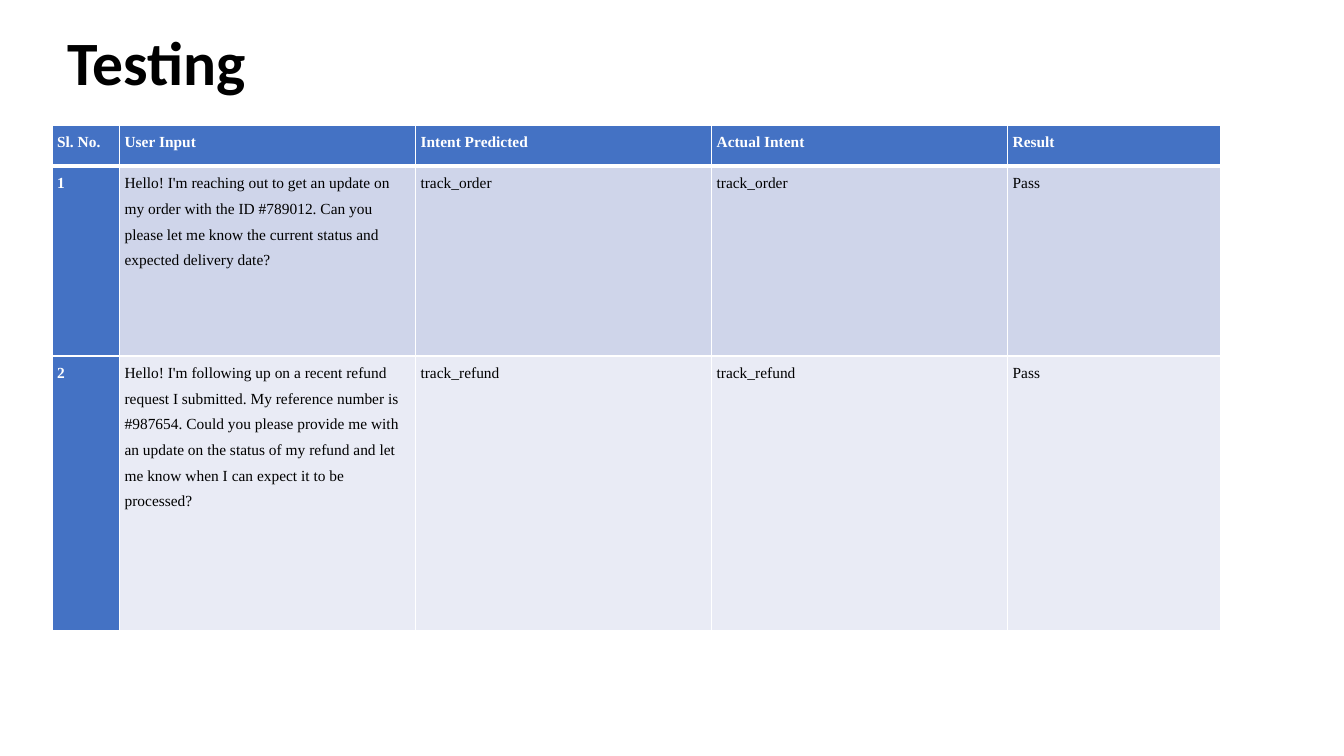
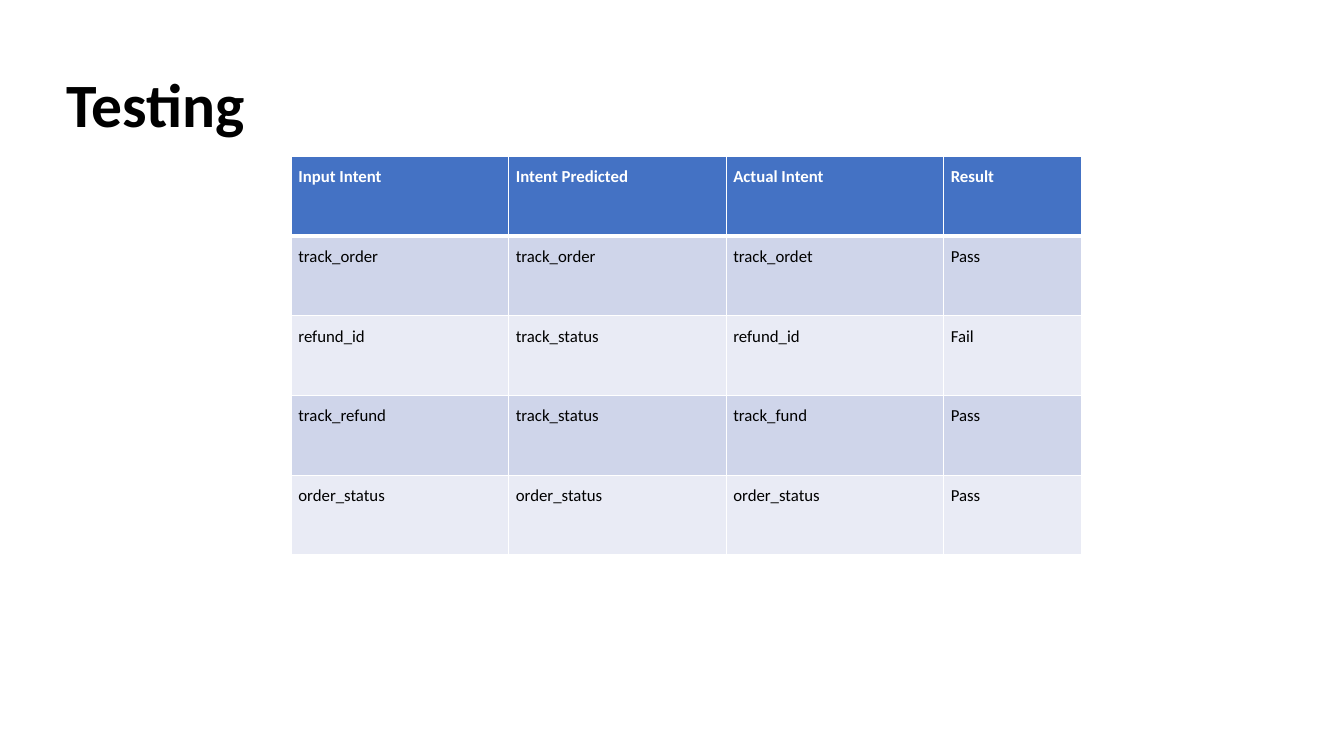
"""Builds two slides with tables of intent test results."""
from lxml.etree import SubElement
from pptx import Presentation
from pptx.dml.color import RGBColor
from pptx.enum.text import MSO_ANCHOR as Anchor, PP_ALIGN as Align
from pptx.oxml.ns import qn
from pptx.util import Cm, Pt

BLUE = RGBColor(0x44, 0x72, 0xC4)
DARK = RGBColor(0xCF, 0xD5, 0xEA)
LIGHT = RGBColor(0xE9, 0xEB, 0xF5)
WHITE = RGBColor(0xFF, 0xFF, 0xFF)
BLACK = RGBColor(0x00, 0x00, 0x00)

PAGES = [
    {
        "title": (1.45, -0.18), "table": (1.32, 3.15),
        "cols": [1.7, 7.46, 7.46, 7.46, 5.36], "rows": [1.04, 4.78, 6.93],
        "inset": 0.12, "font": "Times New Roman", "size": 11, "lead": True,
        "data": [
            ("Sl. No.", "User Input", "Intent Predicted", "Actual Intent", "Result"),
            ("1", "Hello! I'm reaching out to get an update on my order with "
             "the ID #789012. Can you please let me know the current status "
             "and expected delivery date?", "track_order", "track_order", "Pass"),
            ("2", "Hello! I'm following up on a recent refund request I "
             "submitted. My reference number is #987654. Could you please "
             "provide me with an update on the status of my refund and let me "
             "know when I can expect it to be processed?",
             "track_refund", "track_refund", "Pass"),
        ],
    },
    {
        "title": (1.42, 0.86), "table": (7.34, 3.94),
        "cols": [5.48, 5.48, 5.48, 3.48], "rows": [2.01] * 5,
        "inset": 0.18, "font": "Calibri", "size": 12, "lead": False,
        "data": [
            ("Input Intent", "Intent Predicted", "Actual Intent", "Result"),
            ("track_order", "track_order", "track_ordet", "Pass"),
            ("refund_id", "track_status", "refund_id", "Fail"),
            ("track_refund", "track_status", "track_fund", "Pass"),
            ("order_status", "order_status", "order_status", "Pass"),
        ],
    },
]


def style(para, space, **form):
    para.alignment = Align.LEFT
    para.line_spacing = space
    color = form.pop("color")
    for key, val in form.items():
        setattr(para.font, key, val)
    para.font.color.rgb = color


def edge(cell, row):
    props = cell._tc.get_or_add_tcPr()
    for side in "LRTB":
        thick = (side, row) in (("B", 0), ("T", 1))
        line = SubElement(props, qn(f"a:ln{side}"), w=str(Pt(3 if thick else 1)))
        fill = SubElement(line, qn("a:solidFill"))
        SubElement(fill, qn("a:srgbClr"), val=str(WHITE))


deck = Presentation()
deck.slide_width, deck.slide_height = Cm(33.87), Cm(19.05)

for page in PAGES:
    slide = deck.slides.add_slide(deck.slide_layouts[5])
    title = slide.shapes.title
    left, top = page["title"]
    place = {"left": left, "top": top, "width": 29.21, "height": 3.68}
    for key, val in place.items():
        setattr(title, key, Cm(val))
    title.text_frame.text = "Testing"
    title.text_frame.vertical_anchor = Anchor.MIDDLE
    style(title.text_frame.paragraphs[0], 0.9,
          name="Calibri", size=Pt(44), bold=True, color=BLACK)

    cols, rows = page["cols"], page["rows"]
    left, top = page["table"]
    table = slide.shapes.add_table(len(rows), len(cols), Cm(left), Cm(top),
                                   Cm(sum(cols)), Cm(sum(rows))).table
    table.first_col = page["lead"]
    for col, width in zip(table.columns, cols):
        col.width = Cm(width)
    for row, height in zip(table.rows, rows):
        row.height = Cm(height)

    pad = Cm(page["inset"])
    form = {"margin_left": pad, "margin_right": pad,
            "margin_top": 0, "margin_bottom": 0}
    for r, texts in enumerate(page["data"]):
        for c, text in enumerate(texts):
            cell = table.cell(r, c)
            head = r == 0 or (page["lead"] and c == 0)
            for key, val in form.items():
                setattr(cell, key, val)
            edge(cell, r)
            cell.fill.solid()
            cell.fill.fore_color.rgb = BLUE if head else DARK if r % 2 else LIGHT
            cell.text = text
            style(cell.text_frame.paragraphs[0], 1.5,
                  name=page["font"], size=Pt(page["size"]), bold=head,
                  color=WHITE if head else BLACK)

deck.save("out.pptx")
